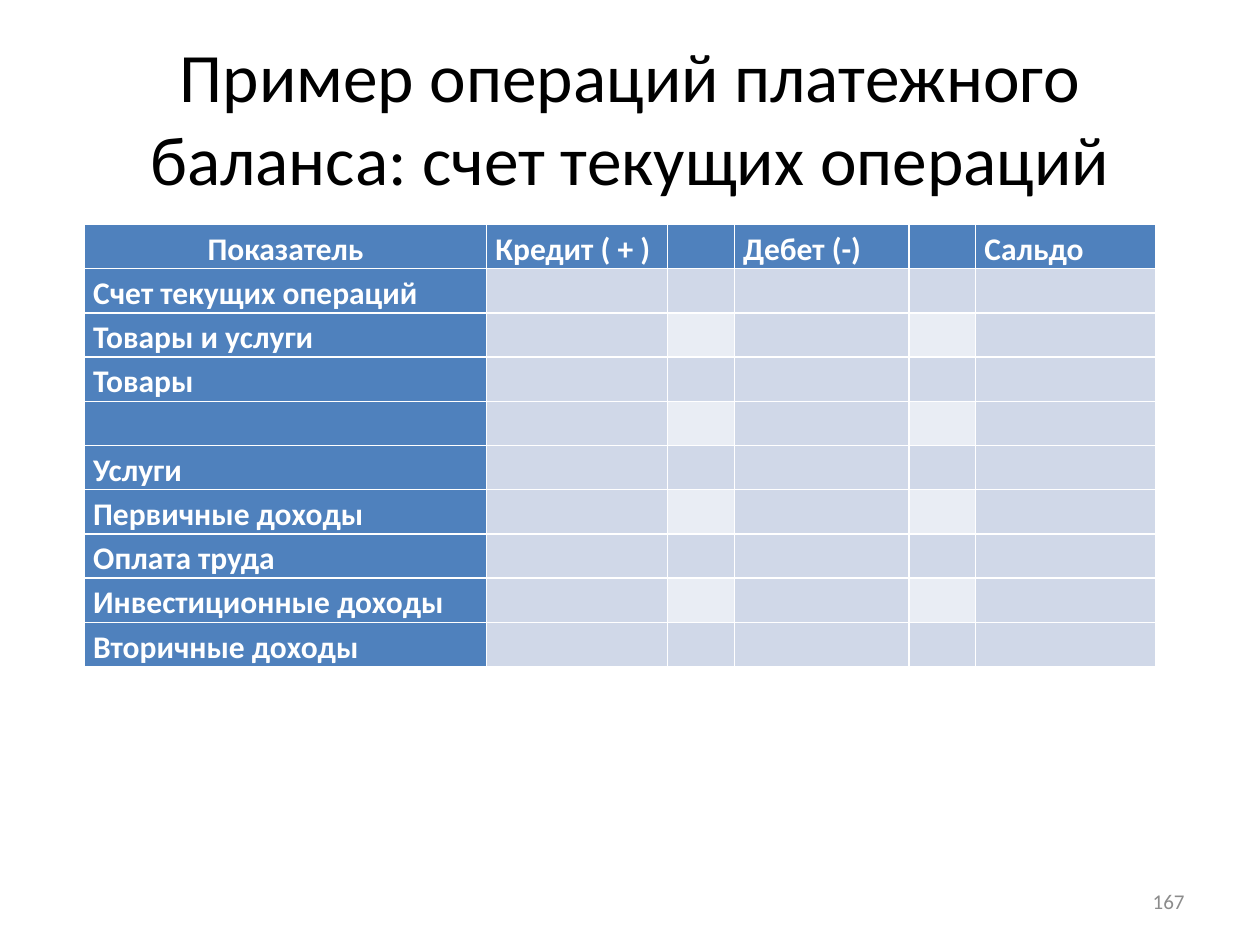
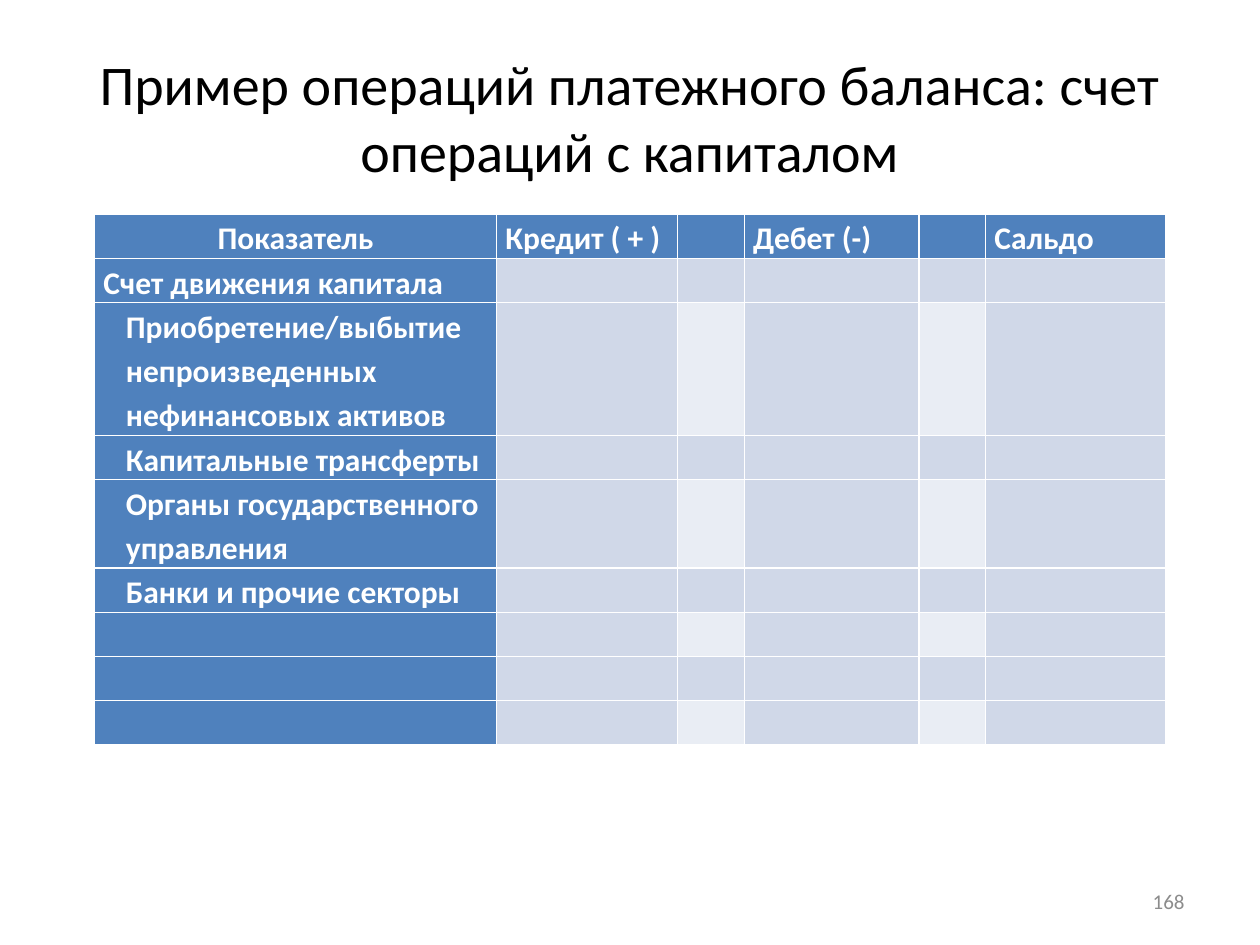
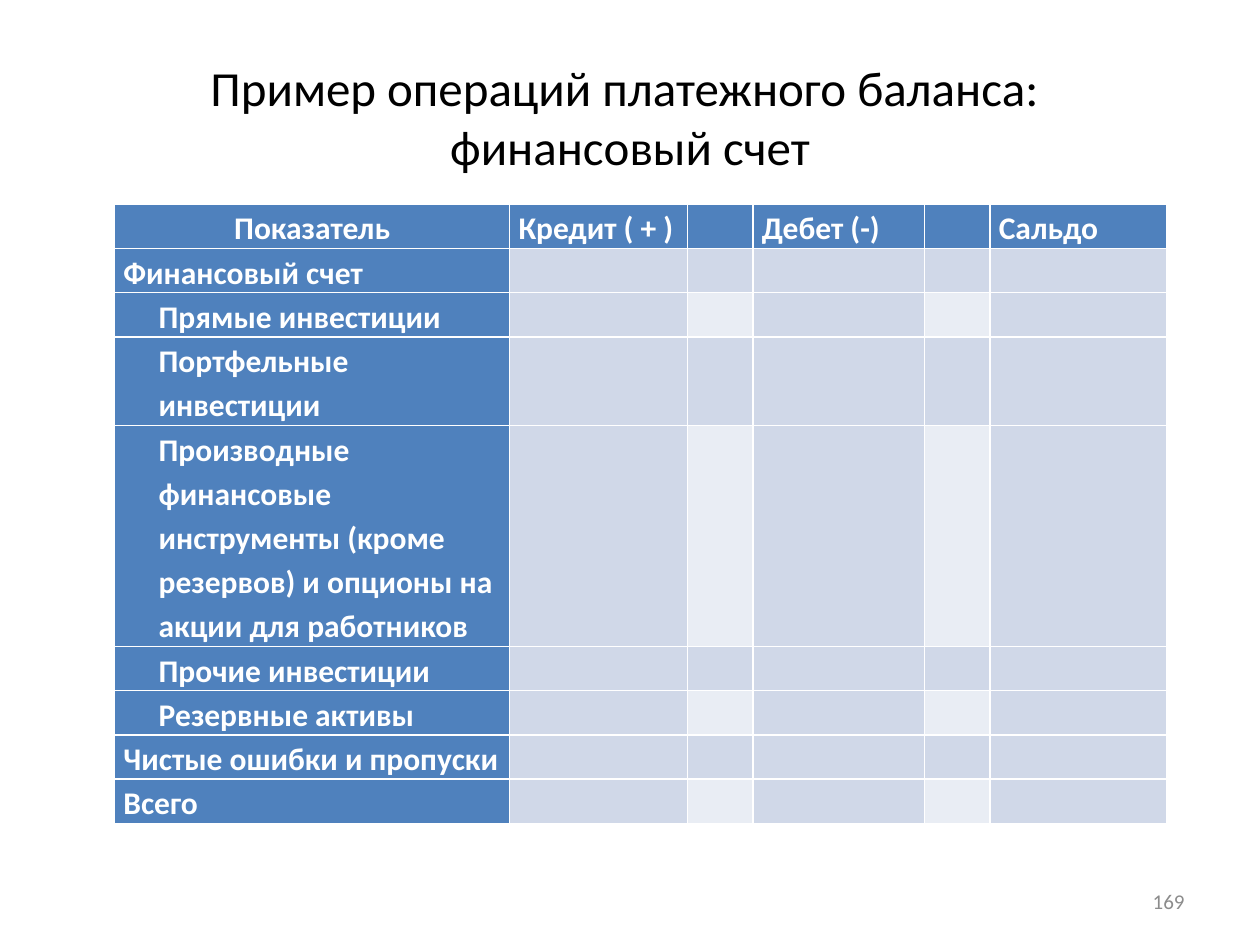
import pptx
import pptx.dml.color
import pptx.enum.text
import pptx.util

Inches = pptx.util.Inches
Pt = pptx.util.Pt
RGBColor = pptx.dml.color.RGBColor
PP_ALIGN = pptx.enum.text.PP_ALIGN

BLACK = RGBColor(0x00, 0x00, 0x00)
WHITE = RGBColor(0xFF, 0xFF, 0xFF)
GREY = RGBColor(0x8C, 0x8C, 0x8C)
BLUE = RGBColor(0x4F, 0x81, 0xBD)
BAND_DARK = RGBColor(0xD0, 0xD8, 0xE8)
BAND_LIGHT = RGBColor(0xE9, 0xED, 0xF4)

FONT = "Calibri"
HEADER = ["Показатель", "Кредит ( + )", "", "Дебет (-)", "", "Сальдо"]
COL_WIDTHS = [3.2, 1.44, 0.53, 1.39, 0.53, 1.43]
SPACER_COLS = (2, 4)
LINE_HEIGHT = 0.35

CURRENT_ACCOUNT = [
    ("Счет текущих операций", 0, 1),
    ("Товары и услуги", 0, 1),
    ("Товары", 0, 1),
    ("", 0, 1),
    ("Услуги", 0, 1),
    ("Первичные доходы", 0, 1),
    ("Оплата труда", 0, 1),
    ("Инвестиционные доходы", 0, 1),
    ("Вторичные доходы", 0, 1),
]
CAPITAL_ACCOUNT = [
    ("Счет движения капитала", 0, 1),
    ("Приобретение/выбытие непроизведенных нефинансовых активов", 0.18, 3),
    ("Капитальные трансферты", 0.18, 1),
    ("Органы государственного управления", 0.18, 2),
    ("Банки и прочие секторы", 0.18, 1),
    ("", 0, 1),
    ("", 0, 1),
    ("", 0, 1),
]
FINANCIAL_ACCOUNT = [
    ("Финансовый счет", 0, 1),
    ("Прямые инвестиции", 0.28, 1),
    ("Портфельные инвестиции", 0.28, 2),
    ("Производные финансовые инструменты (кроме резервов) "
     "и опционы на акции для работников", 0.28, 5),
    ("Прочие инвестиции", 0.28, 1),
    ("Резервные активы", 0.28, 1),
    ("Чистые ошибки и пропуски", 0, 1),
    ("Всего", 0, 1),
]


def set_font(p, size, color, bold=False):
    """Format a whole paragraph in the deck font."""
    p.font.name = FONT
    p.font.size = Pt(size)
    p.font.color.rgb = color
    p.font.bold = bold


def add_title(s, text, size):
    """Fill the title placeholder."""
    title = s.shapes.title
    title.left, title.top = Inches(0.5), Inches(0.3)
    title.width, title.height = Inches(9), Inches(1.25)
    tf = title.text_frame
    tf.text = text
    tf.auto_size = pptx.enum.text.MSO_AUTO_SIZE.NONE
    tf.vertical_anchor = pptx.enum.text.MSO_ANCHOR.MIDDLE
    p = tf.paragraphs[0]
    p.alignment = PP_ALIGN.CENTER
    set_font(p, size, BLACK)


def add_page_number(s, number):
    """Put the page number at the bottom right."""
    sp = s.shapes.add_textbox(Inches(7.17), Inches(6.95), Inches(2.33), Inches(0.4))
    tf = sp.text_frame
    tf.word_wrap = True
    tf.vertical_anchor = pptx.enum.text.MSO_ANCHOR.MIDDLE
    p = tf.paragraphs[0]
    p.text = str(number)
    p.alignment = PP_ALIGN.RIGHT
    set_font(p, 12, GREY)


def cell_color(row, col):
    """Return the fill of a cell from its place in the table."""
    if row == 0 or col == 0:
        return BLUE
    if col in SPACER_COLS and row % 2 == 0:
        return BAND_LIGHT
    return BAND_DARK


def fill_cell(cell, text, color, indent=0):
    """Set the text, margins and fill of one cell."""
    cell.fill.solid()
    cell.fill.fore_color.rgb = color
    cell.margin_left = cell.margin_right = Inches(0.07)
    cell.margin_top = cell.margin_bottom = 0
    p = cell.text_frame.paragraphs[0]
    p.text = text
    p.line_spacing = 1.15
    set_font(p, 18, WHITE, bold=True)
    if indent:
        p._p.get_or_add_pPr().set("marL", str(Inches(indent)))


def add_account_table(s, left, top, width, accounts):
    """Add a balance table with one row per account item."""
    rows = [(HEADER[0], 0, 1)] + accounts
    height = LINE_HEIGHT * sum(lines for _, _, lines in rows)
    table = s.shapes.add_table(len(rows), len(HEADER), Inches(left), Inches(top),
                               Inches(width), Inches(height)).table
    table.first_col = True
    scale = width / sum(COL_WIDTHS)
    for column, col_width in zip(table.columns, COL_WIDTHS):
        column.width = Inches(col_width * scale)
    for i, (label, indent, lines) in enumerate(rows):
        table.rows[i].height = Inches(LINE_HEIGHT * lines)
        fill_cell(table.cell(i, 0), label, BLUE, indent)
        for j in range(1, len(HEADER)):
            fill_cell(table.cell(i, j), HEADER[j] if i == 0 else "", cell_color(i, j))
    table.cell(0, 0).text_frame.paragraphs[0].alignment = PP_ALIGN.CENTER


def add_account_slide(prs, number, title, size, left, top, width, accounts):
    """Add a slide with a title, a balance table and a page number."""
    s = prs.slides.add_slide(prs.slide_layouts[5])
    add_title(s, title, size)
    add_account_table(s, left, top, width, accounts)
    add_page_number(s, number)


def main():
    """Build and save the deck."""
    prs = pptx.Presentation()
    prs.slide_width, prs.slide_height = Inches(10), Inches(7.5)
    add_account_slide(prs, 167, "Пример операций платежного баланса: счет текущих операций",
                      39.6, 0.67, 1.78, 8.5, CURRENT_ACCOUNT)
    add_account_slide(prs, 168, "Пример операций платежного баланса: счет операций с капиталом",
                      32, 0.75, 1.7, 8.5, CAPITAL_ACCOUNT)
    add_account_slide(prs, 169, "Пример операций платежного баланса: \vфинансовый счет",
                      28, 0.91, 1.62, 8.35, FINANCIAL_ACCOUNT)
    prs.save("out.pptx")


if __name__ == "__main__":
    main()
